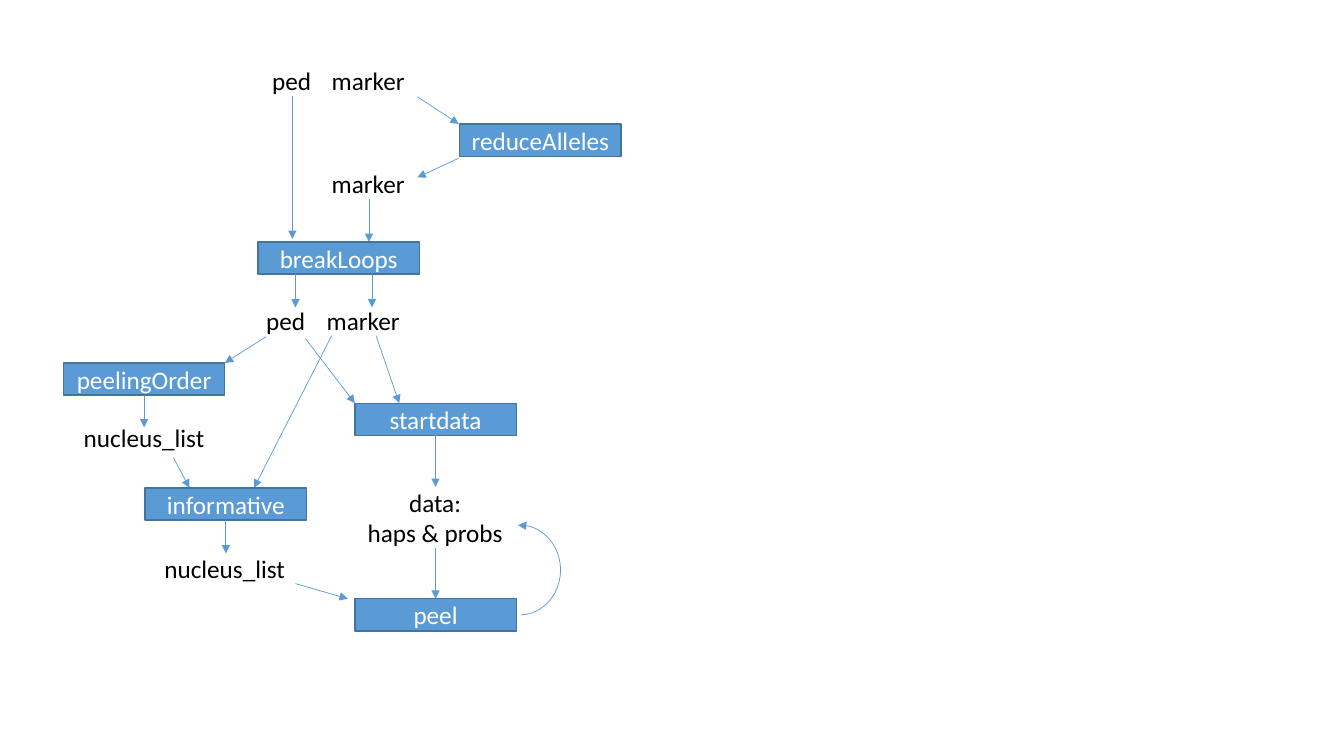
import pptx
import pptx.util
import pptx.dml.color
import pptx.enum.shapes
import pptx.enum.text
import pptx.oxml.ns
import lxml.etree

Inches = pptx.util.Inches
RGBColor = pptx.dml.color.RGBColor
SHAPE = pptx.enum.shapes.MSO_SHAPE
ALIGN = pptx.enum.text.PP_ALIGN
ANCHOR = pptx.enum.text.MSO_ANCHOR
qn = pptx.oxml.ns.qn

BLUE = RGBColor(0x5B, 0x9B, 0xD5)
DARK_BLUE = RGBColor(0x43, 0x73, 0x9E)
BLACK = RGBColor(0, 0, 0)
WHITE = RGBColor(255, 255, 255)

STEP_W, STEP_H = 1.6, 0.32
LINE_H = 0.3
PED_W, MARKER_W, NUCLEUS_W = 0.39, 0.73, 1.21


def write(tf, text, color=BLACK, align=ALIGN.LEFT, size=18, font="Calibri"):
    for i, line in enumerate(text.split("\n")):
        p = tf.paragraphs[0] if i == 0 else tf.add_paragraph()
        p.alignment = align
        r = p.add_run()
        r.text = line
        r.font.name = font
        r.font.size = pptx.util.Pt(size)
        r.font.color.rgb = color


def add_label(s, text, x, y, w, h=LINE_H, align=ALIGN.LEFT):
    tf = s.shapes.add_textbox(Inches(x), Inches(y), Inches(w), Inches(h)).text_frame
    tf.margin_left = tf.margin_right = tf.margin_top = tf.margin_bottom = 0
    tf.word_wrap = False
    write(tf, text, align=align)


def add_step(s, name, x, y):
    sp = s.shapes.add_shape(SHAPE.FLOWCHART_PROCESS, Inches(x), Inches(y),
                            Inches(STEP_W), Inches(STEP_H))
    sp.shadow.inherit = False
    sp.fill.solid()
    sp.fill.fore_color.rgb = BLUE
    sp.line.color.rgb = DARK_BLUE
    sp.line.width = pptx.util.Pt(1)
    sp.text_frame.vertical_anchor = ANCHOR.MIDDLE
    write(sp.text_frame, name, color=WHITE, align=ALIGN.CENTER)


def style_line(sp, end):
    sp.line.color.rgb = BLUE
    sp.line.width = pptx.util.Pt(0.5)
    ln = sp.line._get_or_add_ln()
    lxml.etree.SubElement(ln, qn("a:" + end), type="triangle")


def add_arrow(s, x1, y1, x2, y2):
    c = s.shapes.add_connector(pptx.enum.shapes.MSO_CONNECTOR.STRAIGHT,
                               Inches(x1), Inches(y1), Inches(x2), Inches(y2))
    style_line(c, "tailEnd")
    lxml.etree.SubElement(c._element.spPr, qn("a:effectLst"))


def add_repeat_arc(s, x, y, w, h):
    sp = s.shapes.add_shape(SHAPE.ARC, Inches(x), Inches(y), Inches(w), Inches(h))
    sp.shadow.inherit = False
    sp.fill.background()
    sp.adjustments[0] = 160.683
    sp.adjustments[1] = 53.051
    style_line(sp, "headEnd")


def add_preparation(s, x, y):
    """Inputs, allele reduction and loop breaking."""
    # Inputs
    add_label(s, "ped", x + 0.14, y, PED_W)
    add_label(s, "marker", x + 0.73, y, MARKER_W)
    # Allele reduction
    add_arrow(s, x + 1.58, y + 0.31, x + 1.99, y + 0.58)
    add_step(s, "reduceAlleles", x + 2, y + 0.58)
    add_arrow(s, x + 1.99, y + 0.92, x + 1.58, y + 1.11)
    add_label(s, "marker", x + 0.73, y + 1.02, MARKER_W)
    # Loop breaking
    add_arrow(s, x + 0.34, y + 0.3, x + 0.34, y + 1.72)
    add_arrow(s, x + 1.1, y + 1.32, x + 1.1, y + 1.75)
    add_step(s, "breakLoops", x, y + 1.75)
    for dx in (0.37, 1.13):
        add_arrow(s, x + dx, y + 1.75 + STEP_H, x + dx, y + 2.4)
    add_label(s, "ped", x + 0.08, y + 2.38, PED_W)
    add_label(s, "marker", x + 0.68, y + 2.38, MARKER_W)


def add_peeling_branch(s, x, y):
    """Peeling order and informative nuclei."""
    mid = x + STEP_W / 2
    # Peeling order
    add_arrow(s, x + 2.01, y - 0.26, x + STEP_W, y)
    add_step(s, "peelingOrder", x, y)
    add_arrow(s, mid, y + STEP_H, mid, y + 0.64)
    add_label(s, "nucleus_list", x + 0.2, y + 0.59, NUCLEUS_W)
    # Informative nuclei
    add_arrow(s, x + 1.09, y + 0.94, x + 1.25, y + 1.24)
    add_arrow(s, x + 2.66, y - 0.27, x + 1.89, y + 1.24)
    add_step(s, "informative", x + 0.81, y + 1.24)
    add_arrow(s, mid + 0.81, y + 1.24 + STEP_H, mid + 0.81, y + 1.89)
    add_label(s, "nucleus_list", x + 1, y + 1.89, NUCLEUS_W)


def add_data_branch(s, x, y):
    """Start data and repeated peeling."""
    mid = x + STEP_W / 2
    # Start data
    add_arrow(s, x - 0.49, y - 0.64, x, y)
    add_arrow(s, x + 0.21, y - 0.67, x + 0.44, y)
    add_step(s, "startdata", x, y)
    add_arrow(s, mid, y + STEP_H, mid, y + 0.83)
    add_label(s, "data:\nhaps & probs", x + 0.12, y + 0.83, 1.35, 2 * LINE_H,
              align=ALIGN.CENTER)
    # Peeling loop
    add_arrow(s, mid, y + 1.44, mid, y + 1.94)
    add_arrow(s, x - 0.59, y + 1.79, x - 0.07, y + 1.94)
    add_step(s, "peel", x, y + 1.94)
    add_repeat_arc(s, x + 1.23, y + 1.21, 0.81, 0.89)


def main():
    prs = pptx.Presentation()
    prs.slide_width, prs.slide_height = Inches(13.33), Inches(7.5)
    s = prs.slides.add_slide(prs.slide_layouts[6])
    add_preparation(s, 2.56, 0.65)
    add_peeling_branch(s, 0.63, 3.6)
    add_data_branch(s, 3.52, 4)
    prs.save("out.pptx")


if __name__ == "__main__":
    main()
